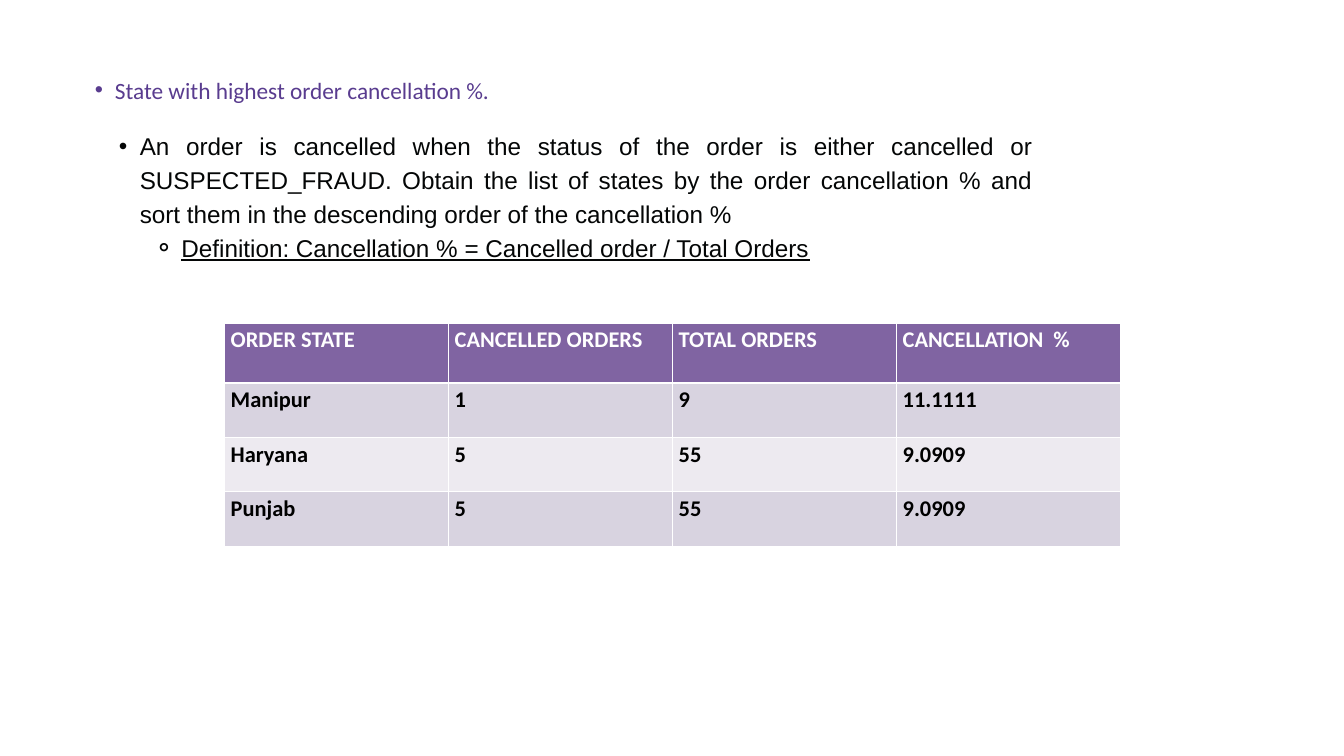
import dataclasses

import lxml.etree
import pptx
import pptx.dml.color
import pptx.enum.text
import pptx.oxml.ns
import pptx.util

Inches = pptx.util.Inches
Pt = pptx.util.Pt
RGBColor = pptx.dml.color.RGBColor
Align = pptx.enum.text.PP_ALIGN

WIDTH, HEIGHT = 20, 11.25
PURPLE = RGBColor(0x59, 0x3C, 0x8F)
INK = RGBColor(0x04, 0x06, 0x06)
BLACK = RGBColor(0, 0, 0)
WHITE = RGBColor(0xFF, 0xFF, 0xFF)
HEADER_FILL = RGBColor(0x80, 0x64, 0xA2)
BAND_FILLS = (RGBColor(0xD8, 0xD3, 0xE0), RGBColor(0xED, 0xEA, 0xF0))

STATES = (
    ("ORDER STATE", "CANCELLED ORDERS", "TOTAL ORDERS", "CANCELLATION  %"),
    ("Manipur", "1", "9", "11.1111"),
    ("Haryana", "5", "55", "9.0909"),
    ("Punjab", "5", "55", "9.0909"),
)
HEADER_HEIGHT, ROW_HEIGHT = 0.89, 0.81


@dataclasses.dataclass(frozen=True)
class Bullet:
    """A list mark, with its text indent and hanging distance in inches."""
    mark: str
    indent: float
    hanging: float


def write(para, text: str, *, font: str, size: float, color: RGBColor,
          bold: bool = False, underline: bool = False, align=Align.LEFT,
          line_spacing: float | None = None, level: int = 0,
          bullet: Bullet | None = None) -> None:
    para.alignment = align
    para.level = level
    para.space_before = Pt(0)
    if line_spacing:
        para.line_spacing = Pt(line_spacing)
    if bullet:
        add_bullet(para, bullet)
    span = para.add_run()
    span.text = text
    span.font.name = font
    span.font.size = Pt(size)
    span.font.color.rgb = color
    span.font.bold = bold
    span.font.underline = underline


def add_bullet(para, bullet: Bullet) -> None:
    props = para._p.get_or_add_pPr()
    props.set("marL", str(Inches(bullet.indent)))
    props.set("indent", str(-Inches(bullet.hanging)))
    for tag, name, value in (("a:buFont", "typeface", "Arial"),
                             ("a:buChar", "char", bullet.mark)):
        lxml.etree.SubElement(props, pptx.oxml.ns.qn(tag)).set(name, value)


def place(box, left: float, top: float, width: float, height: float):
    """Move a placeholder, given in inches, and return its bare text frame."""
    box.left, box.top = Inches(left), Inches(top)
    box.width, box.height = Inches(width), Inches(height)
    frame = box.text_frame
    frame.margin_left = frame.margin_right = 0
    frame.margin_top = frame.margin_bottom = 0
    frame.vertical_anchor = pptx.enum.text.MSO_ANCHOR.TOP
    frame.auto_size = pptx.enum.text.MSO_AUTO_SIZE.NONE
    frame.word_wrap = True
    return frame


def set_borders(cell, color: RGBColor, bottom: float) -> None:
    props = cell._tc.get_or_add_tcPr()
    qn = pptx.oxml.ns.qn
    for side, weight in (("L", 1), ("R", 1), ("T", 1), ("B", bottom)):
        line = lxml.etree.SubElement(props, qn(f"a:ln{side}"), w=str(Pt(weight)))
        fill = lxml.etree.SubElement(line, qn("a:solidFill"))
        lxml.etree.SubElement(fill, qn("a:srgbClr"), val=str(color))


def add_state_table(page) -> None:
    rows, columns = len(STATES), len(STATES[0])
    height = HEADER_HEIGHT + (rows - 1) * ROW_HEIGHT
    table = page.shapes.add_table(
        rows, columns, Inches(WIDTH / 6), Inches(4.81),
        Inches(WIDTH * 2 / 3), Inches(height)).table
    for r, values in enumerate(STATES):
        header = r == 0
        table.rows[r].height = Inches(HEADER_HEIGHT if header else ROW_HEIGHT)
        for c, value in enumerate(values):
            cell = table.cell(r, c)
            set_borders(cell, WHITE, bottom=3 if header else 1)
            cell.fill.solid()
            cell.fill.fore_color.rgb = (
                HEADER_FILL if header else BAND_FILLS[(r - 1) % 2])
            write(cell.text_frame.paragraphs[0], value, font="Calibri", size=24,
                  color=WHITE if header else BLACK, bold=True)


def main() -> None:
    deck = pptx.Presentation()
    deck.slide_width, deck.slide_height = Inches(WIDTH), Inches(HEIGHT)
    page = deck.slides.add_slide(deck.slide_layouts[1])

    title = place(page.shapes.title, 1.12, 1.06, 11.04, 0.47)
    write(title.paragraphs[0], "State with highest order cancellation %.",
          font="Calibri", size=25, color=PURPLE, line_spacing=35,
          bullet=Bullet("•", 0.59, 0.3))

    body = place(page.placeholders[1], 1.47, 1.88, 13.91, 2.49)
    body_format = dict(font="Arial", size=26, color=INK, line_spacing=36.4)
    write(body.paragraphs[0],
          "An order is cancelled when the status of the order is either "
          "cancelled or SUSPECTED_FRAUD. Obtain the list of states by the "
          "order cancellation % and sort them in the descending order of "
          "the cancellation %",
          align=Align.JUSTIFY, level=1, bullet=Bullet("•", 0.61, 0.31),
          **body_format)
    write(body.add_paragraph(),
          "Definition: Cancellation % = Cancelled order / Total Orders",
          underline=True, level=2, bullet=Bullet("⚬", 1.23, 0.41),
          **body_format)

    add_state_table(page)
    deck.save("out.pptx")


if __name__ == "__main__":
    main()
